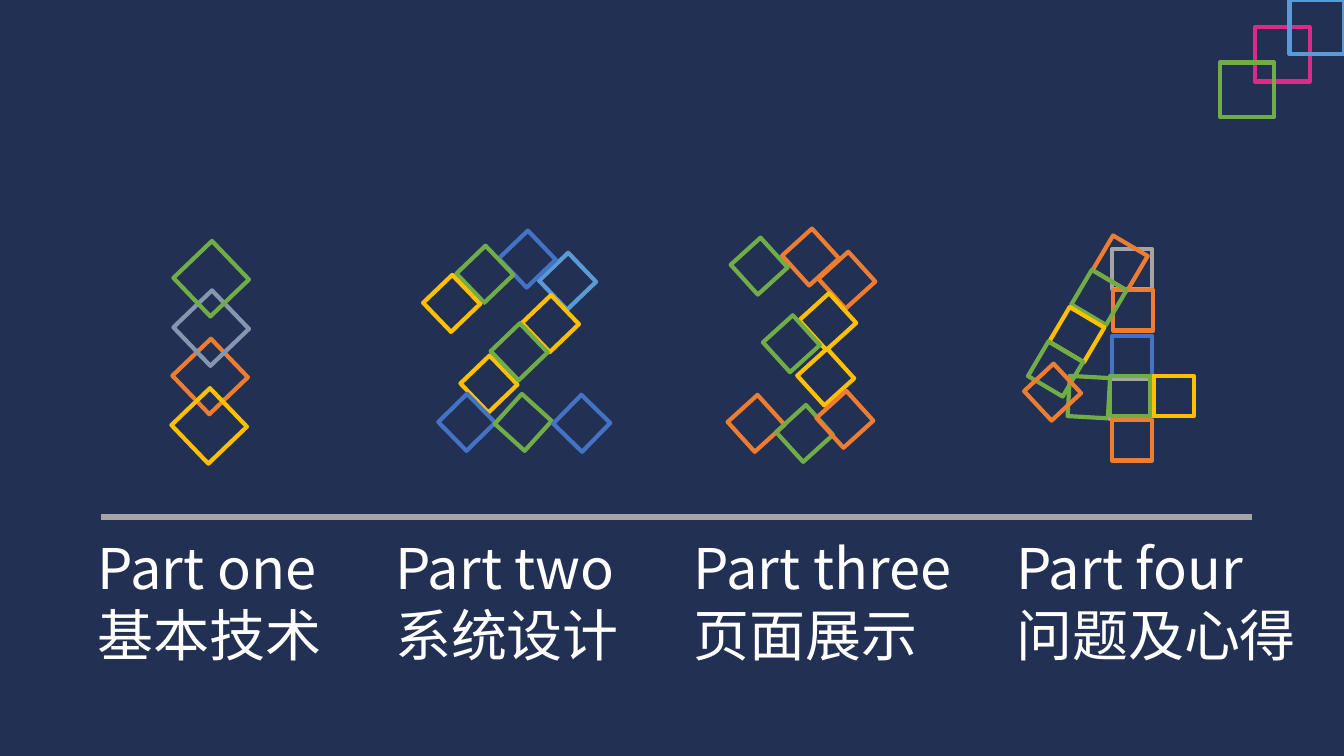
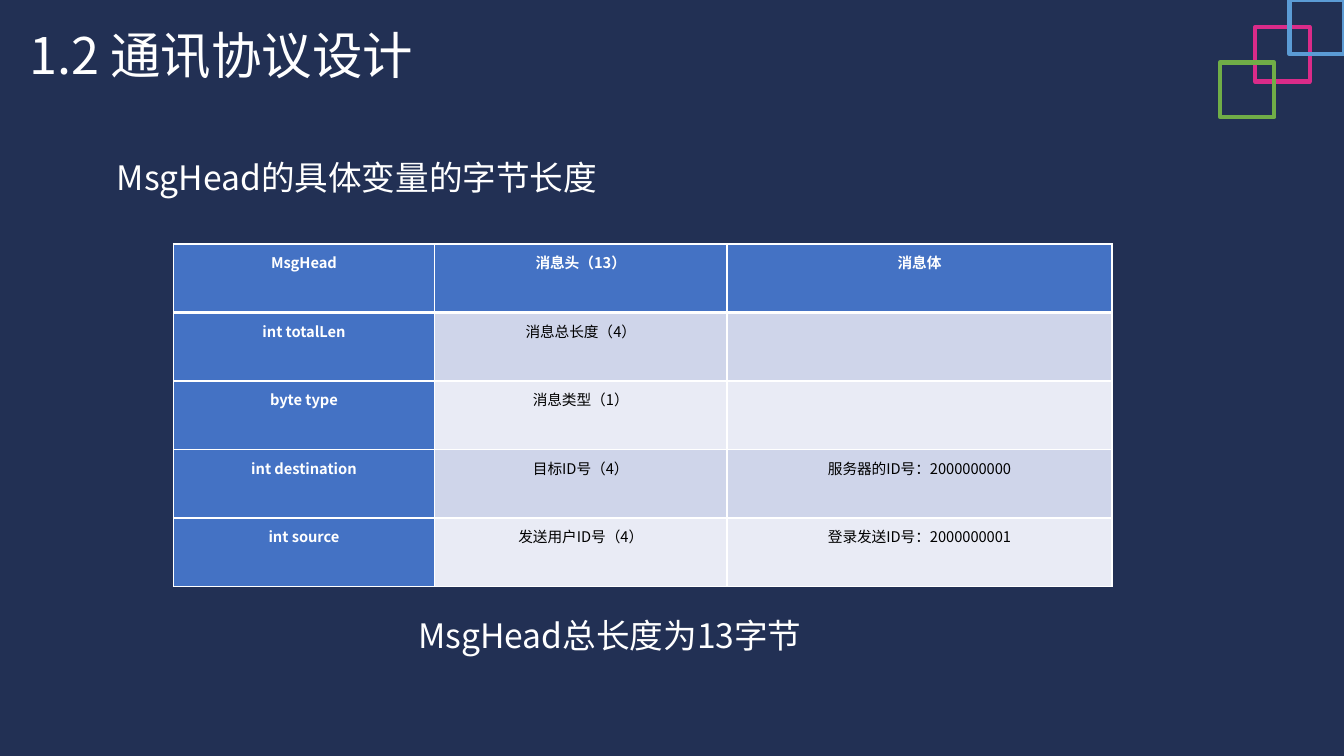
from pptx import Presentation
from pptx.dml.color import RGBColor
from pptx.enum.shapes import MSO_CONNECTOR, MSO_SHAPE
from pptx.enum.text import MSO_ANCHOR, MSO_AUTO_SIZE, PP_ALIGN
from pptx.oxml import parse_xml
from pptx.oxml.ns import nsdecls, qn
from pptx.util import Inches, Pt

FONT = "Noto Sans CJK SC"
NAVY = RGBColor(0x22, 0x30, 0x54)
WHITE = RGBColor(0xFF, 0xFF, 0xFF)
BLACK = RGBColor(0x00, 0x00, 0x00)
GREEN = RGBColor(0x70, 0xAD, 0x47)
ORANGE = RGBColor(0xED, 0x7D, 0x31)
YELLOW = RGBColor(0xFF, 0xC0, 0x00)
BLUE = RGBColor(0x44, 0x72, 0xC4)
SKY = RGBColor(0x5B, 0x9B, 0xD5)
SLATE = RGBColor(0x84, 0x97, 0xB0)
GRAY = RGBColor(0xA5, 0xA5, 0xA5)
PINK = RGBColor(0xDA, 0x2B, 0x89)
BAND_DARK = RGBColor(0xCF, 0xD5, 0xEA)
BAND_LIGHT = RGBColor(0xE9, 0xEB, 0xF5)

TITLE_ONLY, BLANK = 5, 6

# Overlapping squares in the top right corner: left, top, colour, rotation
CORNER = [(12.45, 0.27, PINK, 0), (12.79, 0, SKY, 0), (12.1, 0.62, GREEN, 0)]

# Numerals made of squares: left, top, colour, rotation
TILT = 316.2
ONE = [(1.82, 3.47, ORANGE, TILT), (1.83, 2.99, SLATE, TILT),
       (1.81, 3.96, YELLOW, TILT), (1.83, 2.5, GREEN, TILT)]
TWO = [(5.43, 2.59, SKY, TILT), (5.03, 2.37, BLUE, TILT), (5.26, 3.01, YELLOW, TILT),
       (4.61, 2.52, GREEN, TILT), (4.65, 3.61, YELLOW, TILT), (4.95, 3.29, GREEN, TILT),
       (4.43, 3.99, BLUE, 315.6), (4.28, 2.81, YELLOW, TILT),
       (4.99, 3.99, GREEN, 312.2), (5.57, 4, BLUE, 44.3)]
THREE = [(left, top, color, 317.8) for left, top, color in (
    (8.2, 2.58, ORANGE), (7.84, 2.35, ORANGE), (8.01, 2.99, YELLOW),
    (7.33, 2.44, GREEN), (7.99, 3.54, YELLOW), (7.65, 3.21, GREEN),
    (7.3, 4, ORANGE), (7.78, 4.1, GREEN), (8.18, 3.96, ORANGE))]
SLANT = 300.6
FOUR = [(11.03, 2.47, GRAY, 0), (10.6, 3.74, GREEN, 3.2), (10.91, 2.41, ORANGE, SLANT),
        (11.04, 2.88, ORANGE, 0), (11.03, 3.33, BLUE, 0), (11.01, 3.76, GRAY, 0),
        (11.03, 4.17, ORANGE, 0), (11.44, 3.73, YELLOW, 0), (11.01, 3.73, GREEN, 0),
        (10.7, 2.75, GREEN, SLANT), (10.48, 3.12, YELLOW, SLANT),
        (10.27, 3.46, GREEN, SLANT), (10.24, 3.69, ORANGE, 317)]

# Agenda entries: numeral, square size, label left, label lines
PARTS = [(ONE, 0.53, 0.87, ("Part one", "基本技术")),
         (TWO, 0.4, 3.82, ("Part two", "系统设计")),
         (THREE, 0.4, 6.78, ("Part three", "页面展示")),
         (FOUR, 0.4, 9.98, ("Part four", "问题及心得"))]

FIELDS = [("MsgHead", "消息头（13）", "消息体"),
          ("int totalLen", "消息总长度（4）", ""),
          ("byte type", "消息类型（1）", ""),
          ("int destination", "目标ID号（4）", "服务器的ID号：2000000000"),
          ("int source", "发送用户ID号（4）", "登录发送ID号：2000000001")]


def write(frame, *lines, size=24, color=WHITE, bold=False, align=PP_ALIGN.LEFT, spacing=None):
    """Fill a text frame with one paragraph per line."""
    for index, line in enumerate(lines):
        paragraph = frame.add_paragraph() if index else frame.paragraphs[0]
        paragraph.alignment = align
        paragraph.line_spacing = spacing
        run = paragraph.add_run()
        run.text = line
        font = run.font
        font.name, font.size, font.bold = FONT, Pt(size), bold
        font.color.rgb = color
        east_asian = parse_xml(f'<a:ea {nsdecls("a")} typeface="{FONT}"/>')
        run._r.get_or_add_rPr().find(qn("a:latin")).addnext(east_asian)


class Deck:
    """Shared style and the slide being built."""

    def __init__(self):
        self.prs = Presentation()
        self.prs.slide_width, self.prs.slide_height = Inches(13.33), Inches(7.5)
        backdrop = self.prs.slide_master.background.fill
        backdrop.solid()
        backdrop.fore_color.rgb = NAVY
        self.slide = None

    def new_slide(self, layout):
        self.slide = self.prs.slides.add_slide(self.prs.slide_layouts[layout])
        self.squares(CORNER, 0.54)

    def squares(self, cells, size):
        group = self.slide.shapes.add_group_shape()
        for left, top, color, rotation in cells:
            square = group.shapes.add_shape(MSO_SHAPE.RECTANGLE, Inches(left), Inches(top),
                                            Inches(size), Inches(size))
            square.rotation = rotation
            square.shadow.inherit = False
            square.fill.background()
            square.line.color.rgb = color
            square.line.width = Pt(3)

    def title(self, text, left, top, width, height):
        heading = self.slide.shapes.title
        heading.left, heading.top = Inches(left), Inches(top)
        heading.width, heading.height = Inches(width), Inches(height)
        self.fit(heading.text_frame)
        write(heading.text_frame, text, size=36)

    def text(self, lines, left, top, width, height, **style):
        box = self.slide.shapes.add_textbox(Inches(left), Inches(top),
                                            Inches(width), Inches(height))
        self.fit(box.text_frame)
        write(box.text_frame, *lines, **style)

    def fit(self, frame):
        frame.word_wrap = True
        frame.auto_size = MSO_AUTO_SIZE.SHAPE_TO_FIT_TEXT
        frame.vertical_anchor = MSO_ANCHOR.TOP

    def rule(self, left, right, y, color, weight):
        line = self.slide.shapes.add_connector(MSO_CONNECTOR.STRAIGHT, Inches(left), Inches(y),
                                               Inches(right), Inches(y))
        line.line.color.rgb = color
        line.line.width = Pt(weight)
        line._element.spPr.append(parse_xml(f'<a:effectLst {nsdecls("a")}/>'))

    def table(self, rows, left, top, widths, row_height):
        table = self.slide.shapes.add_table(
            len(rows), len(widths), Inches(left), Inches(top),
            Inches(sum(widths)), Inches(row_height * len(rows))).table
        for column, width in zip(table.columns, widths):
            column.width = Inches(width)
        for r, row in enumerate(rows):
            for c, value in enumerate(row):
                self.cell(table.cell(r, c), value, r, c)

    def cell(self, cell, value, r, c):
        header = r == 0 or c == 0
        cell.margin_left = cell.margin_right = Inches(0.08)
        cell.margin_top = cell.margin_bottom = Inches(0.08)
        if value:
            write(cell.text_frame, value, size=10.5, color=WHITE if header else BLACK,
                  bold=header, align=PP_ALIGN.CENTER, spacing=Pt(15))
        cell.fill.solid()
        cell.fill.fore_color.rgb = BLUE if header else BAND_DARK if r % 2 else BAND_LIGHT
        # Thin white grid with a thick rule under the header row
        thick = {(0, "B"), (1, "T")}
        for index, side in enumerate("LRTB"):
            weight = Pt(3 if (r, side) in thick else 1)
            cell._tc.get_or_add_tcPr().insert(index, parse_xml(
                f'<a:ln{side} {nsdecls("a")} w="{weight}"><a:solidFill>'
                f'<a:srgbClr val="{WHITE}"/></a:solidFill></a:ln{side}>'))


def main():
    deck = Deck()

    # Agenda
    deck.new_slide(BLANK)
    for numeral, size, left, label in PARTS:
        deck.squares(numeral, size)
        deck.text(label, left, 5.24, 3.21, 1.45, size=40)
    deck.rule(1, 12.42, 5.13, GRAY, 4.5)

    # Protocol design
    deck.new_slide(TITLE_ONLY)
    deck.title("1.2 通讯协议设计", 0.19, 0.19, 4.67, 0.71)
    deck.text(["MsgHead的具体变量的字节长度"], 1.06, 1.51, 5.99, 0.91)
    deck.table(FIELDS, 1.72, 2.42, (2.59, 2.9, 3.82), 0.68)
    deck.text(["MsgHead总长度为13字节"], 4.05, 6.05, 4.65, 0.5)

    deck.prs.save("out.pptx")


if __name__ == "__main__":
    main()
